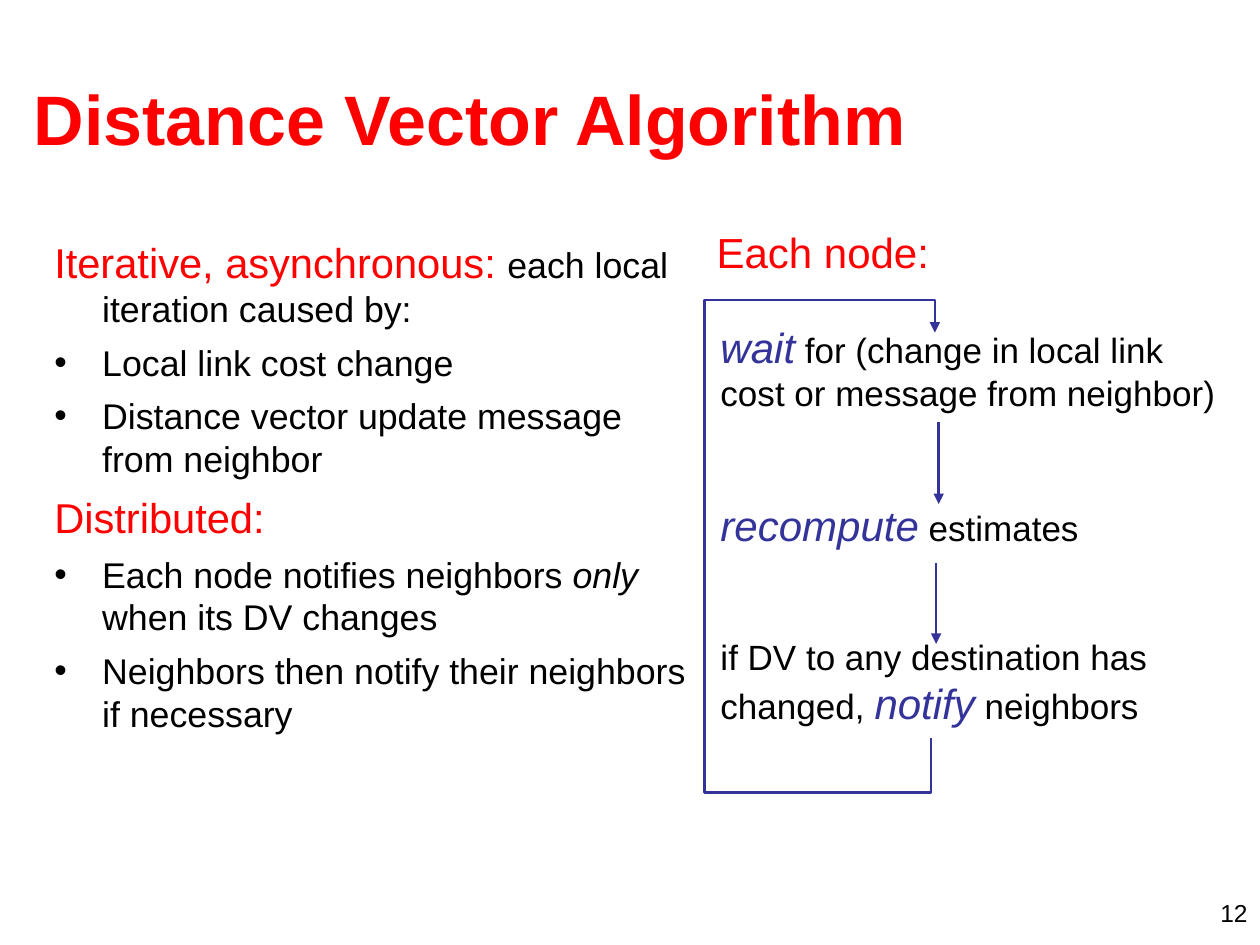
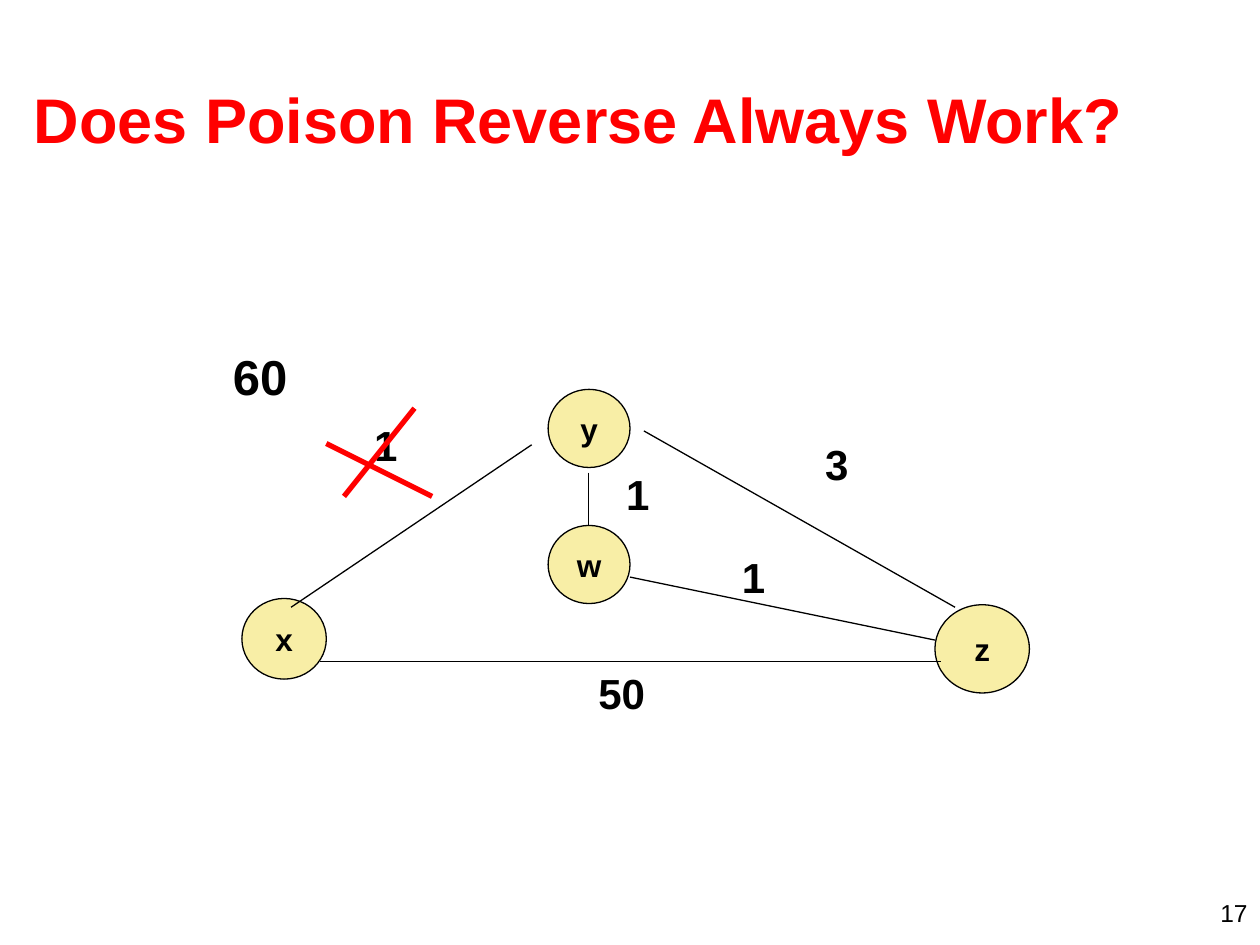
"""Builds two slides on distance vector routing."""
from dataclasses import dataclass

from lxml import etree
from pptx import Presentation
from pptx import util as u
from pptx.dml.color import RGBColor
from pptx.enum import shapes, text
from pptx.oxml.ns import qn

FONT = "Arial"
COLOURS = {"title": "FF0000", "ink": "000000", "flow": "333399", "node": "F8EEA6"}
COLUMNS, ROWS = 100, 75
CELL = u.Inches(0.1)
INDENT = u.Inches(0.38)
LEFT, CENTRE, RIGHT = text.PP_ALIGN.LEFT, text.PP_ALIGN.CENTER, text.PP_ALIGN.RIGHT


@dataclass
class Box:
    """A region measured in grid columns and rows."""
    left: float
    top: float
    width: float
    height: float

    def inside(self, left, top, width, height):
        """Return a box placed from this box's corner."""
        return Box(self.left + left, self.top + top, width, height)

    def point(self, column, row):
        """Return slide coordinates of a point in this box."""
        return round((self.left + column) * CELL), round((self.top + row) * CELL)

    def frame(self):
        """Return left, top, width and height in slide units."""
        return *self.point(0, 0), round(self.width * CELL), round(self.height * CELL)


TITLE = Box(1.7, 3.1, 95.8, 12.5)
NUMBER = Box(76.7, 70.8, 23.3, 2.5)
BODY = Box(3.33, 18.33, 53.3, 41.9)
FLOW = Box(55.9, 17.5, 42.3, 45.9)
NETWORK = Box(17.5, 27, 64.2, 30.5)


def colour(name):
    """Look up a named colour."""
    return RGBColor.from_string(COLOURS[name])


def add_span(para, words, size, ink="ink", bold=False, italic=False):
    """Add one formatted run."""
    span = para.add_run()
    span.text = words
    span.font.name, span.font.size = FONT, u.Pt(size)
    span.font.bold, span.font.italic = bold, italic
    span.font.color.rgb = colour(ink)


def add_text(page, box, paras, align=LEFT, anchor=text.MSO_ANCHOR.TOP):
    """Add a text box; each paragraph is (space before, spans)."""
    frame = page.shapes.add_textbox(*box.frame()).text_frame
    frame.word_wrap, frame.vertical_anchor = True, anchor
    for index, (space, spans) in enumerate(paras):
        para = frame.add_paragraph() if index else frame.paragraphs[0]
        para.alignment = align
        if index:
            para.space_before = u.Pt(space)
        for span in spans:
            add_span(para, *span)
    return frame


def hang(para, bullet):
    """Give a paragraph a hanging indent and, if asked, a bullet."""
    props = para._p.get_or_add_pPr()
    props.set("marL", str(INDENT))
    props.set("indent", str(-INDENT))
    if bullet:
        tint = etree.SubElement(props, qn("a:buClr"))
        etree.SubElement(tint, qn("a:srgbClr"), val=COLOURS["ink"])
        etree.SubElement(props, qn("a:buFont"), typeface=FONT)
        etree.SubElement(props, qn("a:buChar"), char="•")


def style_line(line, ink, weight, arrow=False):
    """Set a line's colour, weight and arrowhead."""
    line.color.rgb, line.width = colour(ink), u.Pt(weight)
    if arrow:
        etree.SubElement(line._get_or_add_ln(), qn("a:tailEnd"), type="triangle")


def add_line(page, box, start, end, ink="ink", weight=0.75, arrow=False):
    """Draw a straight line between two points of a box."""
    link = page.shapes.add_connector(shapes.MSO_CONNECTOR.STRAIGHT,
                                     *box.point(*start), *box.point(*end))
    style_line(link.line, ink, weight, arrow)
    etree.SubElement(link._element.spPr, qn("a:effectLst"))


def add_page(deck, title, size, number):
    """Add a slide with its title and number."""
    page = deck.slides.add_slide(deck.slide_layouts[6])
    add_text(page, NUMBER, [(0, [(str(number), 14)])], RIGHT)
    add_text(page, TITLE, [(0, [(title, size, "title", True)])],
             anchor=text.MSO_ANCHOR.MIDDLE)
    return page


def add_properties(page, box):
    """List the properties of the algorithm."""
    big, small = 23.8, 20.4
    items = [
        (False, 0, [("Iterative, asynchronous: ", big, "title"),
                    ("each local iteration caused by:", small)]),
        (True, 6, [("Local link cost change", small)]),
        (True, 6, [("Distance vector update message from neighbor", small)]),
        (False, 7, [("Distributed:", big, "title")]),
        (True, 6, [("Each node notifies neighbors ", small),
                   ("only", small, "ink", False, True),
                   (" when its DV changes", small)]),
        (True, 6, [("Neighbors then notify their neighbors if necessary", small)]),
    ]
    frame = add_text(page, box, [(space, spans) for _, space, spans in items])
    for para, (bullet, _, _) in zip(frame.paragraphs, items):
        hang(para, bullet)


def add_node_loop(page, box):
    """Draw the loop that each node runs."""
    def verb(word):
        """Return the span of an action word."""
        return word, 24, "flow", False, True

    step_gap = 49
    steps = [
        [verb("wait"), (" for (change in local link cost or message from neighbor)", 20)],
        [verb("recompute"), (" estimates", 20)],
        [("if DV to any destination has changed, ", 20), verb("notify"),
         (" neighbors", 20)],
    ]
    add_text(page, box.inside(0.3, 7.5, 41.7, 38.3),
             [(step_gap, spans) for spans in steps])
    for column, top, bottom in [(18.6, 16, 22.5), (18.4, 27.2, 33.6)]:
        add_line(page, box, (column, top), (column, bottom), "flow", 1.5, True)
    start, *rest = [box.point(*corner) for corner in [
        (18, 41.1), (18, 45.4), (0, 45.4), (0, 6.3), (18.3, 6.3), (18.3, 8.9)]]
    builder = page.shapes.build_freeform(*start)
    builder.add_line_segments(rest, close=False)
    loop = builder.convert_to_shape()
    loop.shadow.inherit = False
    loop.fill.background()
    style_line(loop.line, "flow", 1.5, True)
    add_text(page, box.inside(-1, 0, 20.8, 5),
             [(0, [("Each node:", 24, "title")])], CENTRE)


def add_node(page, box, name):
    """Draw a named network node."""
    node = page.shapes.add_shape(shapes.MSO_SHAPE.OVAL, *box.frame())
    node.shadow.inherit = False
    node.fill.solid()
    node.fill.fore_color.rgb = colour("node")
    style_line(node.line, "ink", 0.75)
    frame = node.text_frame
    frame.word_wrap, frame.vertical_anchor = False, text.MSO_ANCHOR.MIDDLE
    frame.paragraphs[0].alignment = CENTRE
    add_span(frame.paragraphs[0], name, 18, bold=True)


def add_network(page, box):
    """Draw the network with its link costs."""
    nodes = {"y": (26, 3.9, 6.5, 6.2), "x": (1.7, 20.5, 6.7, 6.4),
             "z": (56.7, 21, 7.5, 7), "w": (26, 14.7, 6.5, 6.2)}
    links = [((7.9, 25.5), (57.2, 25.5)), ((5.6, 21.2), (24.7, 8.3)),
             ((33.6, 7.2), (58.3, 21.2)), ((29.2, 10.5), (29.2, 14.7)),
             ((32.5, 18.8), (56.7, 23.8))]
    costs = [("1", 24, 11.2, 5.8, 7.8), ("3", 24, 47, 7.3, 3.8),
             ("50", 24, 29, 25.5, 11.2), ("60", 28, 0, 0, 11.2),
             ("1", 24, 31.2, 9.7, 3.8), ("1", 24, 40.4, 16.3, 3.8)]
    cross = [((8.4, 8.2), (16.8, 12.4)), ((15.4, 5.4), (9.8, 12.4))]
    for name, place in nodes.items():
        add_node(page, box.inside(*place), name)
    for start, end in links:
        add_line(page, box, start, end)
    for cost, size, left, top, width in costs:
        add_text(page, box.inside(left, top, width, 5),
                 [(0, [(cost, size, "ink", True)])])
    for start, end in cross:
        add_line(page, box, start, end, "title", 3)


def main():
    """Build and save the deck."""
    deck = Presentation()
    deck.slide_width, deck.slide_height = COLUMNS * CELL, ROWS * CELL
    page = add_page(deck, "Distance Vector Algorithm", 40, 12)
    add_properties(page, BODY)
    add_node_loop(page, FLOW)
    page = add_page(deck, "Does Poison Reverse Always Work?", 36, 17)
    add_network(page, NETWORK)
    deck.save("out.pptx")


if __name__ == "__main__":
    main()
